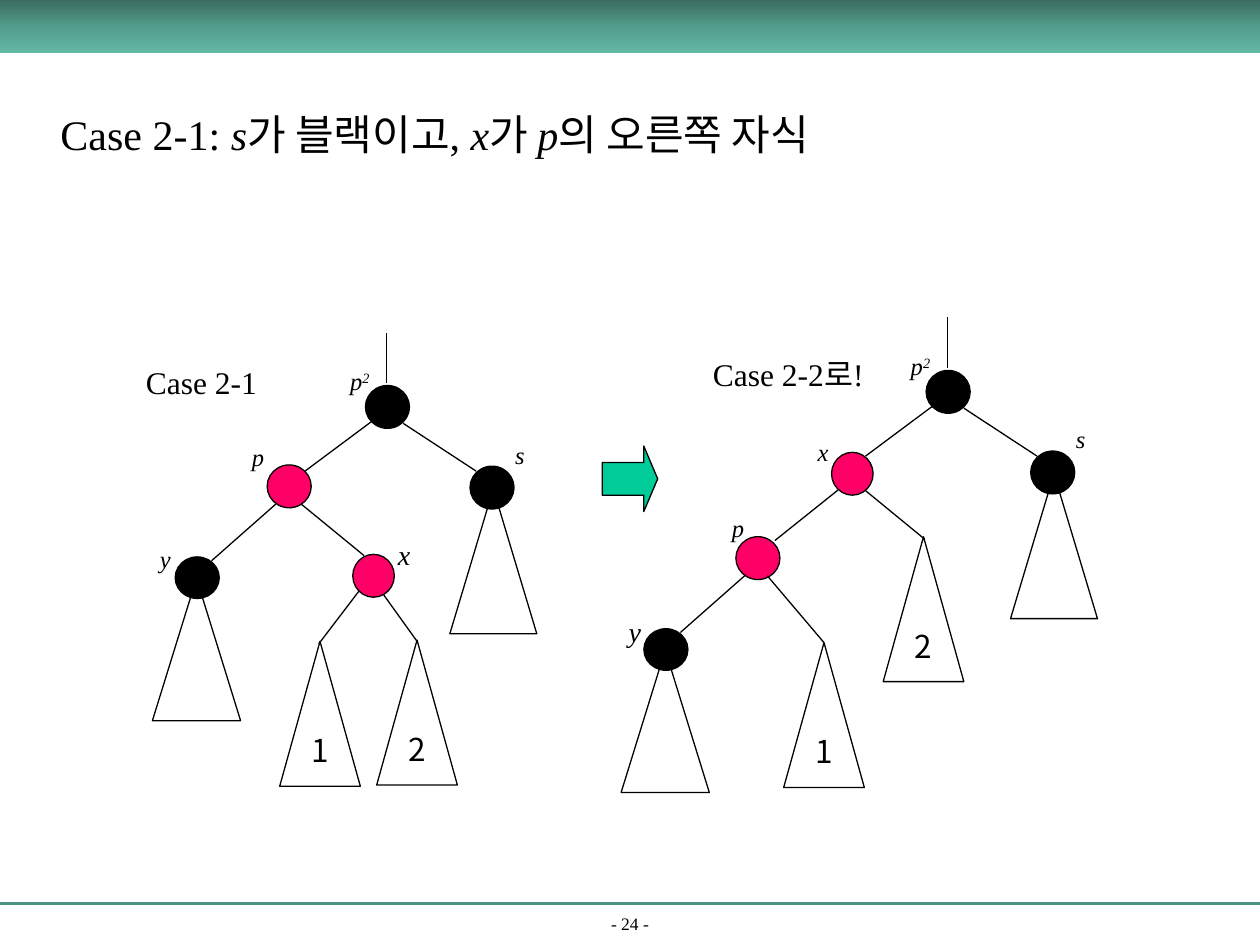
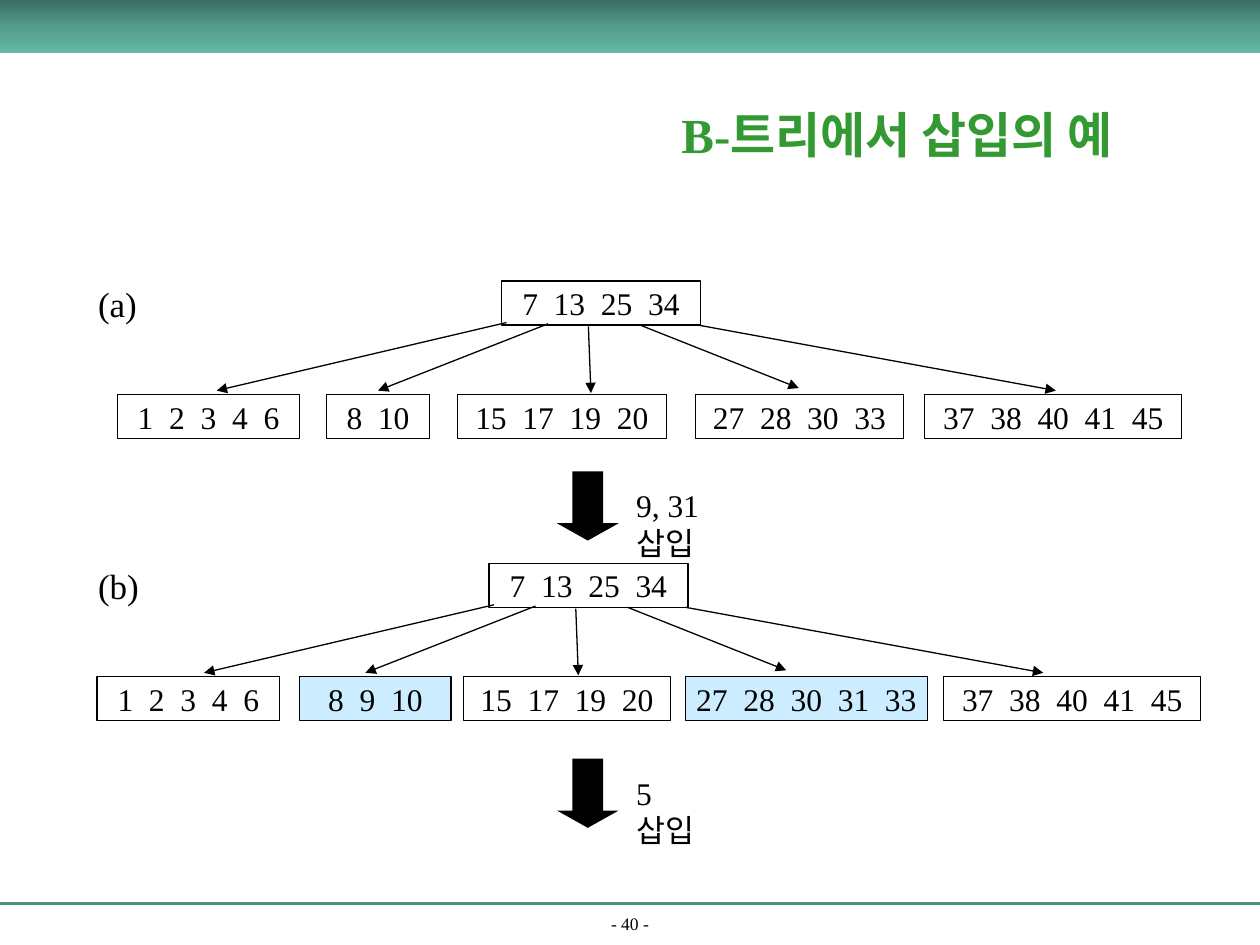
from copy import deepcopy

from lxml.etree import SubElement
from pptx import Presentation
from pptx.dml.color import RGBColor
from pptx.enum.shapes import MSO_CONNECTOR as CONNECTOR
from pptx.enum.shapes import MSO_SHAPE as SHAPE
from pptx.enum.text import MSO_ANCHOR as ANCHOR
from pptx.enum.text import MSO_AUTO_SIZE as AUTO_SIZE
from pptx.enum.text import PP_ALIGN as ALIGN
from pptx.oxml.ns import qn
from pptx.util import Pt

PX = 9144
SERIF = "Times New Roman"
SANS = "Noto Sans CJK KR"
BLACK = RGBColor(0x00, 0x00, 0x00)
RED = RGBColor(0xFF, 0x00, 0x66)
MINT = RGBColor(0x00, 0xCC, 0x99)
SKY = RGBColor(0xCC, 0xEC, 0xFF)
GREEN = RGBColor(0x33, 0x99, 0x33)
RULE = RGBColor(0x4C, 0x92, 0x82)
BAND = (RGBColor(0x3A, 0x6D, 0x62), RGBColor(0x53, 0x9C, 0x8B), RGBColor(0x62, 0xB9, 0xA5))


def draw_shape(slide, kind, left, top, width, height, fill=None, line=BLACK, text="", size=18, font=SERIF):
    shape = slide.shapes.add_shape(kind, left * PX, top * PX, width * PX, height * PX)
    shape.shadow.inherit = False
    if fill is None:
        shape.fill.background()
    else:
        shape.fill.solid()
        shape.fill.fore_color.rgb = fill
    if line is None:
        shape.line.fill.background()
    else:
        shape.line.color.rgb = line
        shape.line.width = Pt(0.75)
    if text:
        frame = shape.text_frame
        frame.text = text
        frame.word_wrap = False
        frame.vertical_anchor = ANCHOR.MIDDLE
        frame.paragraphs[0].alignment = ALIGN.CENTER
        frame.paragraphs[0].runs[0].font.size = Pt(size)
        frame.paragraphs[0].runs[0].font.name = font
    return shape


def draw_line(slide, x1, y1, x2, y2, color=BLACK, width=0.75, arrow=False):
    line = slide.shapes.add_connector(CONNECTOR.STRAIGHT, x1 * PX, y1 * PX, x2 * PX, y2 * PX)
    line.line.color.rgb = color
    line.line.width = Pt(width)
    if arrow:
        SubElement(line.line._get_or_add_ln(), qn("a:tailEnd"), type="triangle")
    SubElement(line._element.spPr, qn("a:effectLst"))


presentation = Presentation()
presentation.slide_width = 1000 * PX
presentation.slide_height = 750 * PX

titles = [
    ("24", (38, 81, 854, 106), ANCHOR.TOP, ALIGN.LEFT, 24, False, BLACK,
     ["Case 2-1: ", "s", "가 블랙이고, ", "x", "가 ", "p", "의 오른쪽 자식"]),
    ("40", (505, 67, 414, 79), ANCHOR.MIDDLE, ALIGN.CENTER, 28, True, GREEN,
     ["B-트리에서 삽입의 예"]),
]
for number, box, anchor, alignment, size, bold, color, parts in titles:
    slide = presentation.slides.add_slide(presentation.slide_layouts[5])
    draw_line(slide, 0, 717, 1000, 717, RULE, 1.5)
    draw_shape(slide, SHAPE.RECTANGLE, 0, 722, 1000, 22, line=None, text=f"- {number} -", size=10)
    band = draw_shape(slide, SHAPE.RECTANGLE, 0, 0, 1000, 42, line=None)
    band.fill.gradient()
    band.fill.gradient_angle = 270
    stops = band._element.spPr.find(".//" + qn("a:gsLst"))
    stops.insert(1, deepcopy(stops[0]))
    for index, stop in enumerate(band.fill.gradient_stops):
        stop.color.rgb = BAND[index]
        stop.position = index / 2

    title = slide.shapes.title
    title.left, title.top, title.width, title.height = [length * PX for length in box]
    frame = title.text_frame
    frame.auto_size = AUTO_SIZE.NONE
    frame.word_wrap = True
    frame.vertical_anchor = anchor
    frame.paragraphs[0].alignment = alignment
    for index, part in enumerate(parts):
        run = frame.paragraphs[0].add_run()
        run.text = part
        run.font.size = Pt(size)
        run.font.bold = bold
        run.font.italic = index % 2 == 1
        run.font.color.rgb = color

rotation_slide, insertion_slide = presentation.slides
labels = [
    (rotation_slide, "Case 2-1", 106, 283, 108, 40, 18),
    (rotation_slide, "Case 2-2로!", 556, 277, 142, 40, 18),
]
node_labels = [
    ("x", 306, 422, 16), ("y", 117, 427, 14), ("p", 190, 346, 14),
    ("x", 639, 342, 14), ("y", 489, 483, 16), ("p", 571, 402, 14),
]

for dx, dy in [(0, 0), (445, -12)]:
    draw_shape(rotation_slide, SHAPE.ISOSCELES_TRIANGLE, 357 + dx, 388 + dy, 69, 115)
    for x1, y1, x2, y2 in [(307, 304, 307, 264), (320, 336, 378, 374), (297, 333, 242, 374)]:
        draw_line(rotation_slide, x1 + dx, y1 + dy, x2 + dx, y2 + dy)
    for left, top in [(290, 306), (373, 370)]:
        draw_shape(rotation_slide, SHAPE.OVAL, left + dx, top + dy, 35, 34, BLACK)
    node_labels += [("s", 399 + dx, 344 + dy, 14), ("p2", 268 + dx, 286 + dy, 14)]

for dx, dy in [(0, 0), (372, 57)]:
    draw_shape(rotation_slide, SHAPE.ISOSCELES_TRIANGLE, 121 + dx, 459 + dy, 70, 113)
    draw_line(rotation_slide, 219 + dx, 400 + dy, 168 + dx, 445 + dy)
    draw_shape(rotation_slide, SHAPE.OVAL, 212 + dx, 369 + dy, 35, 34, RED)
    draw_shape(rotation_slide, SHAPE.OVAL, 139 + dx, 442 + dy, 35, 33, BLACK)

for x1, y1, x2, y2 in [
    (239, 400, 289, 441), (285, 469, 253, 511), (303, 470, 331, 509),
    (684, 387, 734, 428), (665, 389, 615, 429), (609, 457, 654, 510),
]:
    draw_line(rotation_slide, x1, y1, x2, y2)
for left, top in [(280, 440), (660, 359)]:
    draw_shape(rotation_slide, SHAPE.OVAL, left, top, 33, 34, RED)
for text, left, top in [("1", 222, 509), ("2", 299, 508), ("2", 701, 426), ("1", 622, 510)]:
    draw_shape(rotation_slide, SHAPE.ISOSCELES_TRIANGLE, left, top, 64, 115, text=text, font=SANS)
step_arrow = draw_shape(rotation_slide, SHAPE.RIGHT_ARROW, 478, 354, 44, 52, MINT)
step_arrow.adjustments[1] = 0.25

for text, left, top, size in node_labels:
    labels.append((rotation_slide, text, left, top, 36 if text == "p2" else 30, 33, size))

stages = [
    ("(a)", 0, 0, 374, "9, 31 삽입",
     [("1  2  3  4  6", 93, 145, None), ("8  10", 259, 82, None), ("15  17  19  20", 363, 166, None),
      ("27  28  30  33", 552, 165, None), ("37  38  40  41  45", 734, 204, None)]),
    ("(b)", -10, 224, 602, "5 삽입",
     [("1  2  3  4  6", 77, 145, None), ("8  9  10", 238, 120, SKY), ("15  17  19  20", 368, 164, None),
      ("27  28  30  31  33", 544, 192, SKY), ("37  38  40  41  45", 749, 204, None)]),
]
for name, dx, dy, arrow_top, step, leaves in stages:
    draw_shape(insertion_slide, SHAPE.RECTANGLE, 398 + dx, 223 + dy, 158, 35, text="7  13  25  34")
    for keys, left, width, fill in leaves:
        draw_shape(insertion_slide, SHAPE.RECTANGLE, left, 313 + dy, width, 35, fill, text=keys)
    for x1, y1, x2, y2 in [
        (402, 256, 172, 310), (435, 257, 300, 310), (467, 259, 469, 312),
        (508, 258, 634, 308), (554, 258, 838, 310),
    ]:
        draw_line(insertion_slide, x1 + dx, y1 + dy, x2 + dx, y2 + dy, arrow=True)
    down_arrow = draw_shape(insertion_slide, SHAPE.DOWN_ARROW, 442, arrow_top, 49, 55, BLACK, None)
    down_arrow.adjustments[1] = 0.28
    labels.append((insertion_slide, name, 68, 219 + dy, 60, 43, 20))
    labels.append((insertion_slide, step, 495, arrow_top + 7, 80, 40, 18))

for slide, text, left, top, width, height, size in labels:
    text_box = slide.shapes.add_textbox(left * PX, top * PX, width * PX, height * PX)
    frame = text_box.text_frame
    frame.word_wrap = "삽입" in text
    for part in ["p", "2"] if text == "p2" else [text]:
        run = frame.paragraphs[0].add_run()
        run.text = part
        run.font.size = Pt(size)
        run.font.italic = len(text) < 3
        if part == "2":
            run.font._element.set("baseline", "30000")

for slide in presentation.slides:
    for shape in slide.shapes:
        if not shape.has_text_frame:
            continue
        for run in shape.text_frame.paragraphs[0].runs:
            run.font.name = run.font.name or SERIF
            if run.font.color.type is None:
                run.font.color.rgb = BLACK
            SubElement(run.font._element, qn("a:ea"), typeface=SANS)

presentation.save("out.pptx")
